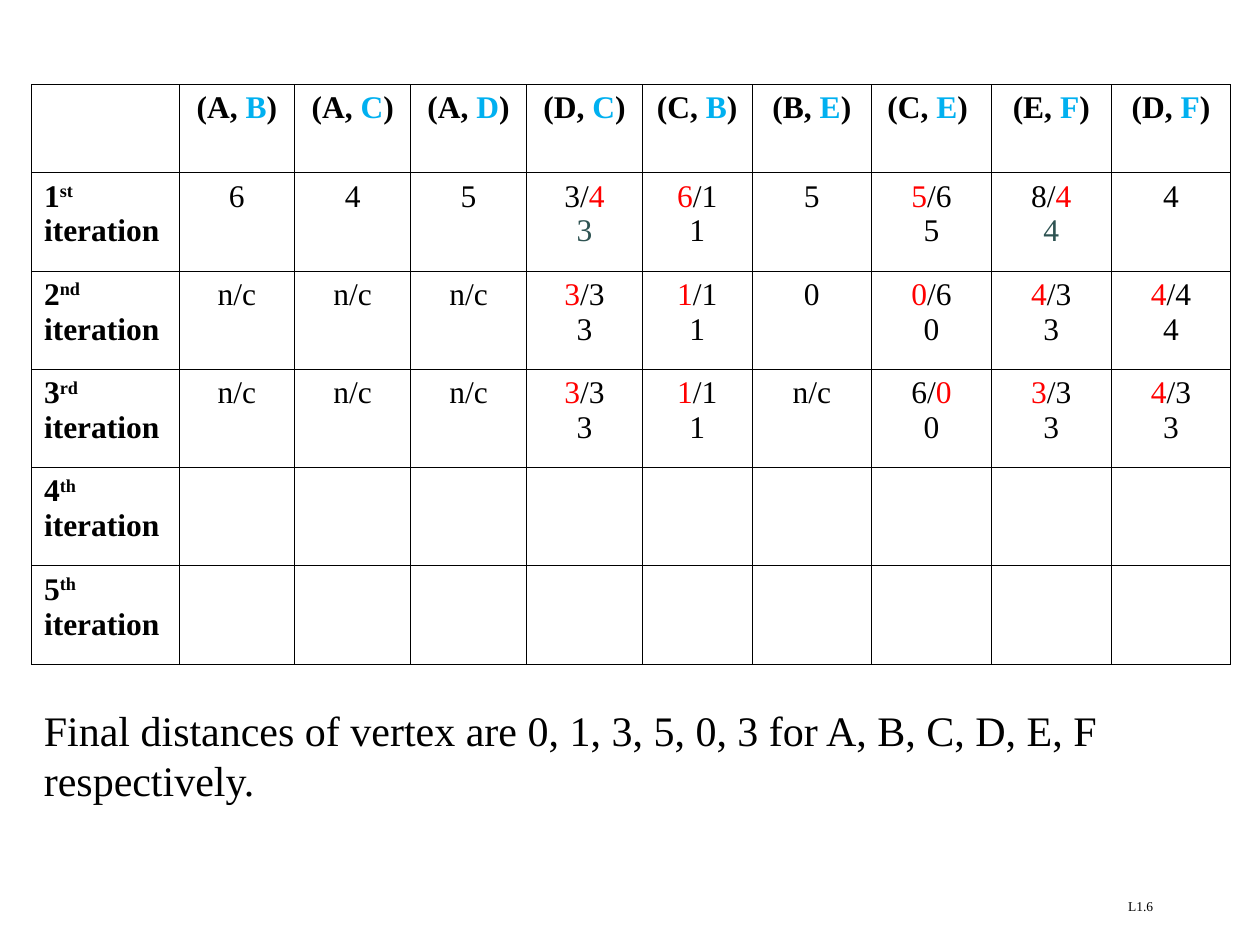
"""Build the slide of edge relaxations per iteration and the final distances."""
from dataclasses import dataclass

import lxml.etree
import pptx
import pptx.dml.color
import pptx.enum.text
import pptx.oxml.ns
import pptx.util

Inches = pptx.util.Inches
Align = pptx.enum.text.PP_ALIGN
FONT = "Times New Roman"
COLORS = {"ink": "000000", "target": "00B0F0", "previous": "FF0000", "kept": "2E5352"}
COLUMN_WIDTHS = [1.17] + [0.92] * 4 + [0.87] + [0.95] * 4
ROW_HEIGHTS = [0.7] + [0.78] * 5


@dataclass(frozen=True)
class Span:
    text: str
    color: str = "ink"
    bold: bool = False
    raised: bool = False


Lines = list[list[Span]]


def edge(start: str, end: str, closing: str = ")") -> Lines:
    """Describe an edge heading with its target vertex coloured."""
    return [[Span(f"({start}, ", bold=True), Span(end, "target", True), Span(closing, bold=True)]]


def ordinal(number: int, suffix: str) -> Lines:
    """Describe a row heading with a raised ordinal suffix."""
    return [[Span(str(number), bold=True), Span(suffix, bold=True, raised=True),
             Span(" iteration", bold=True)]]


def plain(text: str) -> Lines:
    """Describe a single value."""
    return [[Span(text)]]


def old_first(old: int, new: int, result: int) -> Lines:
    """Describe a comparison that starts with the previous distance."""
    return [[Span(str(old), "previous"), Span(f"/{new}")], [Span(str(result))]]


def old_last(new: int, old: int, result: int, color: str) -> Lines:
    """Describe a comparison that ends with the previous distance."""
    return [[Span(f"{new}/"), Span(str(old), "previous")], [Span(str(result), color)]]


HEADINGS = [edge("A", "B"), edge("A", "C"), edge("A", "D"), edge("D", "C"),
            edge("C", "B", ") "), edge("B", "E"), edge("C", "E", ") "),
            edge("E", "F"), edge("D", "F")]
UNCHANGED = [plain("n/c")] * 3
ROWS = [
    [[], *HEADINGS],
    [ordinal(1, "st"), plain("6"), plain("4"), plain("5"), old_last(3, 4, 3, "kept"),
     old_first(6, 1, 1), plain("5"), old_first(5, 6, 5), old_last(8, 4, 4, "kept"), plain("4")],
    [ordinal(2, "nd"), *UNCHANGED, old_first(3, 3, 3), old_first(1, 1, 1), plain("0"),
     old_first(0, 6, 0), old_first(4, 3, 3), old_first(4, 4, 4)],
    [ordinal(3, "rd"), *UNCHANGED, old_first(3, 3, 3), old_first(1, 1, 1), plain("n/c"),
     old_last(6, 0, 0, "ink"), old_first(3, 3, 3), old_first(4, 3, 3)],
    [ordinal(4, "th")],
    [ordinal(5, "th")],
]


def add_span(para, text: str, *, size: float, color: str = "ink",
             bold: bool = False, raised: bool = False) -> None:
    """Add formatted text to a paragraph."""
    span = para.add_run()
    span.text = text
    span.font.name = FONT
    span.font.size = pptx.util.Pt(size)
    span.font.bold = bold
    span.font.color.rgb = pptx.dml.color.RGBColor.from_string(COLORS[color])
    if raised:
        span.font._element.set("baseline", "30000")


def add_borders(cell) -> None:
    """Outline a table cell with thin lines."""
    properties = cell._tc.get_or_add_tcPr()
    qn = pptx.oxml.ns.qn
    for position, side in enumerate(("a:lnL", "a:lnR", "a:lnT", "a:lnB")):
        line = lxml.etree.Element(qn(side), w=str(pptx.util.Pt(0.45)))
        fill = lxml.etree.SubElement(line, qn("a:solidFill"))
        lxml.etree.SubElement(fill, qn("a:srgbClr"), val=COLORS["ink"])
        properties.insert(position, line)


def fill_cell(cell, lines: Lines, align: Align) -> None:
    """Write the lines of one cell and style it."""
    cell.fill.background()
    add_borders(cell)
    for index, line in enumerate(lines):
        para = cell.text_frame.add_paragraph() if index else cell.text_frame.paragraphs[0]
        para.alignment = align
        for span in line:
            add_span(para, span.text, size=18, color=span.color,
                     bold=span.bold, raised=span.raised)


def add_iterations(page) -> None:
    """Draw the table of iterations."""
    table = page.shapes.add_table(len(ROW_HEIGHTS), len(COLUMN_WIDTHS), Inches(0.25),
                                  Inches(0.67), Inches(9.5), Inches(4.6)).table
    table.first_row = False
    table.horz_banding = False
    for column, width in zip(table.columns, COLUMN_WIDTHS):
        column.width = Inches(width)
    for row, height, contents in zip(table.rows, ROW_HEIGHTS, ROWS):
        row.height = Inches(height)
        for index, cell in enumerate(row.cells):
            lines = contents[index] if index < len(contents) else []
            fill_cell(cell, lines, Align.CENTER if index else Align.LEFT)


def add_text(page, text: str, *, left: float, top: float, width: float, height: float,
             size: float, align: Align = Align.LEFT) -> None:
    """Add a wrapping text box."""
    box = page.shapes.add_textbox(Inches(left), Inches(top), Inches(width), Inches(height))
    box.text_frame.word_wrap = True
    para = box.text_frame.paragraphs[0]
    para.alignment = align
    add_span(para, text, size=size)


def main() -> None:
    """Build and save the deck."""
    deck = pptx.Presentation()
    deck.slide_width = Inches(10)
    deck.slide_height = Inches(7.5)
    page = deck.slides.add_slide(deck.slide_layouts[6])
    add_text(page, "L1.6", left=7.17, top=7.08, width=2.08, height=0.25,
             size=7.7, align=Align.RIGHT)
    add_iterations(page)
    add_text(page, "Final distances of vertex are 0, 1, 3, 5, 0, 3 for A, B, C, D, E, F respectively.",
             left=0.25, top=5.54, width=9.5, height=0.9, size=24)
    deck.save("out.pptx")


if __name__ == "__main__":
    main()
